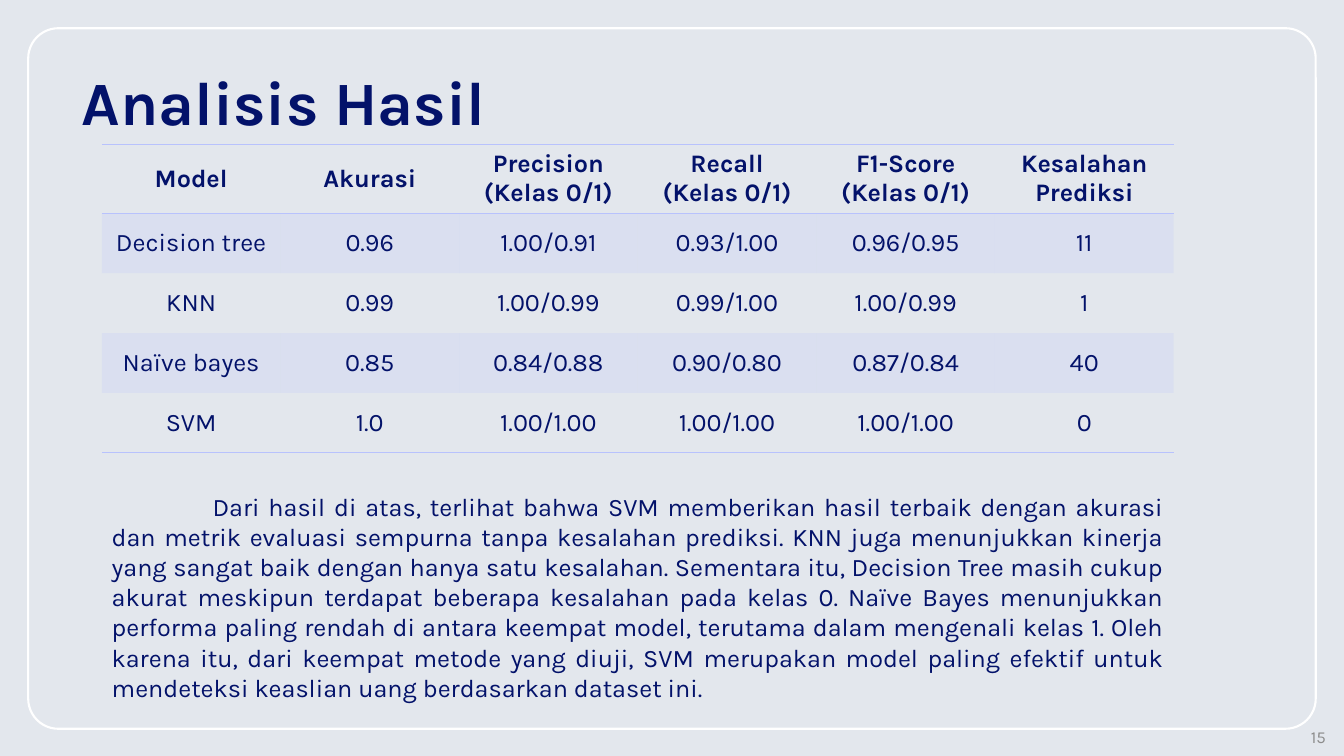
"""Build the "Analisis Hasil" slide comparing four classification models."""

from dataclasses import dataclass

from lxml.etree import SubElement
from pptx import Presentation
from pptx.dml.color import RGBColor
from pptx.enum.shapes import MSO_SHAPE
from pptx.enum.text import MSO_ANCHOR, PP_ALIGN
from pptx.oxml import parse_xml
from pptx.oxml.ns import nsdecls, qn
from pptx.slide import Slide
from pptx.table import _Cell
from pptx.text.text import TextFrame
from pptx.util import Inches, Pt

FONT = "Karla"
BACKGROUND = "E3E7ED"
NAVY = "03126A"
LAVENDER = "B8C2FD"
GREY = "8C8C8C"
WHITE = "FFFFFF"
PLAIN_TABLE_STYLE = "{2D5ABB26-0587-4C30-8999-92F81FD0307C}"

HEADINGS = (
    "Model",
    "Akurasi",
    "Precision\n(Kelas 0/1)",
    "Recall\n(Kelas 0/1)",
    "F1-Score\n(Kelas 0/1)",
    "Kesalahan\nPrediksi",
)
CONCLUSION = (
    "Dari hasil di atas, terlihat bahwa SVM memberikan hasil terbaik dengan akurasi "
    "dan metrik evaluasi sempurna tanpa kesalahan prediksi. KNN juga menunjukkan kinerja "
    "yang sangat baik dengan hanya satu kesalahan. Sementara itu, Decision Tree masih cukup "
    "akurat meskipun terdapat beberapa kesalahan pada kelas 0. Naïve Bayes menunjukkan "
    "performa paling rendah di antara keempat model, terutama dalam mengenali kelas 1. Oleh "
    "karena itu, dari keempat metode yang diuji, SVM merupakan model paling efektif untuk "
    "mendeteksi keaslian uang berdasarkan dataset ini."
)


@dataclass(frozen=True)
class ModelResult:
    model: str
    accuracy: str
    precision: str
    recall: str
    f1_score: str
    errors: str

    def cells(self) -> tuple[str, ...]:
        return (self.model, self.accuracy, self.precision,
                self.recall, self.f1_score, self.errors)


@dataclass(frozen=True)
class TextStyle:
    size: float
    color: str = NAVY
    bold: bool = False
    align: PP_ALIGN = PP_ALIGN.LEFT
    anchor: MSO_ANCHOR = MSO_ANCHOR.TOP
    line_spacing: float | None = None


RESULTS = (
    ModelResult("Decision tree", "0.96", "1.00/0.91", "0.93/1.00", "0.96/0.95", "11"),
    ModelResult("KNN", "0.99", "1.00/0.99", "0.99/1.00", "1.00/0.99", "1"),
    ModelResult("Naïve bayes", "0.85", "0.84/0.88", "0.90/0.80", "0.87/0.84", "40"),
    ModelResult("SVM", "1.0", "1.00/1.00", "1.00/1.00", "1.00/1.00", "0"),
)
TITLE = TextStyle(44, bold=True, anchor=MSO_ANCHOR.BOTTOM, line_spacing=0.9)
HEADING = TextStyle(18, bold=True, align=PP_ALIGN.CENTER)
VALUE = TextStyle(18, align=PP_ALIGN.CENTER)
BODY = TextStyle(18, align=PP_ALIGN.JUSTIFY)
PAGE_NUMBER = TextStyle(12, GREY, align=PP_ALIGN.RIGHT, anchor=MSO_ANCHOR.MIDDLE)


def rgb(color: str) -> RGBColor:
    return RGBColor.from_string(color)


def write(frame: TextFrame, text: str, style: TextStyle) -> None:
    frame.text = text
    for para in frame.paragraphs:
        para.alignment = style.align
        if style.line_spacing:
            para.line_spacing = style.line_spacing
        for span in para.runs:
            span.font.name = FONT
            span.font.size = Pt(style.size)
            span.font.bold = style.bold
            span.font.color.rgb = rgb(style.color)


def add_frame(page: Slide) -> None:
    frame = page.shapes.add_shape(
        MSO_SHAPE.ROUNDED_RECTANGLE, Inches(0.28), Inches(0.28), Inches(12.77), Inches(6.95))
    frame.adjustments[0] = 0.043
    frame.shadow.inherit = False
    frame.fill.background()
    frame.line.color.rgb = rgb(WHITE)
    frame.line.width = Pt(1.5)


def add_title(page: Slide, text: str) -> None:
    title = page.shapes.title
    title.left, title.top = Inches(0.71), Inches(0.4)
    title.width, title.height = Inches(11.24), Inches(1.03)
    title.text_frame.vertical_anchor = TITLE.anchor
    write(title.text_frame, text, TITLE)


def add_text(page: Slide, left: float, top: float, width: float, height: float,
             text: str, style: TextStyle) -> TextFrame:
    box = page.shapes.add_textbox(Inches(left), Inches(top), Inches(width), Inches(height))
    box.text_frame.word_wrap = True
    box.text_frame.vertical_anchor = style.anchor
    write(box.text_frame, text, style)
    return box.text_frame


def tint(cell: _Cell) -> None:
    cell.fill.solid()
    cell.fill.fore_color.rgb = rgb(LAVENDER)
    for color in cell._tc.tcPr.iter(qn("a:srgbClr")):
        SubElement(color, qn("a:alpha")).set("val", "20000")


def add_border(cell: _Cell, position: int, side: str) -> None:
    border = parse_xml(
        f'<a:{side} {nsdecls("a")} w="{Pt(1)}"><a:solidFill>'
        f'<a:srgbClr val="{LAVENDER}"/></a:solidFill></a:{side}>')
    cell._tc.get_or_add_tcPr().insert(position, border)


def add_results(page: Slide) -> None:
    rows = [HEADINGS] + [result.cells() for result in RESULTS]
    last = len(rows) - 1
    holder = page.shapes.add_table(
        len(rows), len(HEADINGS), Inches(1.01), Inches(1.43), Inches(10.63), Inches(2.97))
    table = holder.table
    table.horz_banding = False
    table._tbl.tblPr.find(qn("a:tableStyleId")).text = PLAIN_TABLE_STYLE
    for row_index, texts in enumerate(rows):
        for column_index, text in enumerate(texts):
            cell = table.cell(row_index, column_index)
            cell.vertical_anchor = MSO_ANCHOR.MIDDLE
            write(cell.text_frame, text, VALUE if row_index else HEADING)
            if row_index % 2:
                tint(cell)
            else:
                cell.fill.background()
            if row_index in (0, last):
                add_border(cell, 0, "lnB")
            if row_index == 0:
                add_border(cell, 0, "lnT")


def main() -> None:
    deck = Presentation()
    deck.slide_width, deck.slide_height = Inches(13.33), Inches(7.5)
    page = deck.slides.add_slide(deck.slide_layouts.get_by_name("Title Only"))
    page.background.fill.solid()
    page.background.fill.fore_color.rgb = rgb(BACKGROUND)
    add_frame(page)
    add_title(page, "Analisis Hasil")
    add_results(page)
    add_text(page, 10.25, 7.18, 3, 0.25, "15", PAGE_NUMBER)
    conclusion = add_text(page, 1.01, 4.82, 10.63, 2.52, CONCLUSION, BODY)
    conclusion.paragraphs[0]._p.get_or_add_pPr().set("indent", str(Inches(1)))
    deck.save("out.pptx")


if __name__ == "__main__":
    main()
